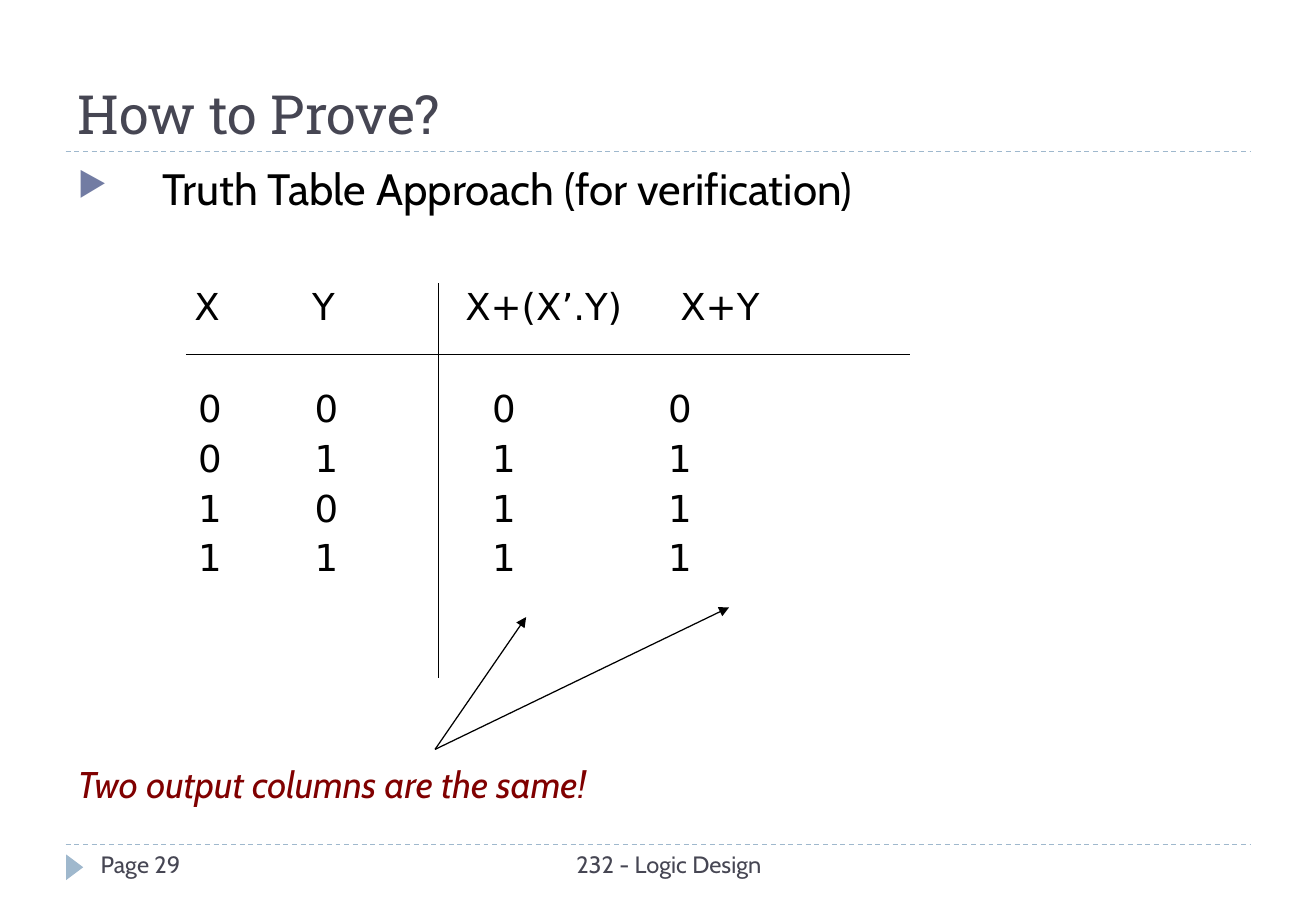
from pptx import Presentation
from pptx.dml.color import RGBColor
from pptx.enum.dml import MSO_LINE
from pptx.enum.shapes import MSO_CONNECTOR, MSO_SHAPE
from pptx.enum.text import MSO_ANCHOR, PP_ALIGN
from pptx.oxml import parse_xml
from pptx.oxml.ns import nsdecls
from pptx.util import Inches, Pt
from lxml.etree import SubElement

# Content
TITLE = "How to Prove?"
POINT = "Truth Table Approach (for verification)"
NOTE = "Two output columns are the same!"
PAGE, COURSE = "Page 29", "232 - Logic Design"
HEAD = ["X", "Y", "X+(X’.Y)", "X+Y"]
ROWS = ["0000", "0111", "1011", "1111"]

# Layout in inches
WIDE, HIGH = 10.83, 7.5
LEFT, SPAN = 0.54, 9.75
RULES = [1.25, 6.95]
COLS = [1.53, 2.5, 3.61, 5.4, 7.49]
HEAD_PAD = [0.07, 0.07, 0.22, 0.2]
BODY_PAD = [0.1, 0.09, 0.44, 0.1]
TOP, MID, END = 2.15, 2.92, 5.58
HEIGHTS = [MID - TOP, 0.66, 0.41, 0.41, 0.41]
TAIL, TIPS = (3.58, 6.17), [(4.33, 5.08), (6, 5)]
INK, SLATE, PALE, RED = "000000", "464653", "9FB8CD", "800000"


def color(code):
    return RGBColor.from_string(code)


def style(para, size, face, code, italic=False):
    font = para.font
    font.size, font.name, font.italic = Pt(size), face, italic
    font.color.rgb = color(code)


def label(text, box, size, code, italic=False, align=PP_ALIGN.LEFT):
    frame = slide.shapes.add_textbox(*map(Inches, box)).text_frame
    frame.word_wrap = True
    para = frame.paragraphs[0]
    para.text, para.alignment = text, align
    style(para, size, "Cabin", code, italic)
    return para


def line(start, end, code=INK, dash=False, arrow=False):
    link = slide.shapes.add_connector(
        MSO_CONNECTOR.STRAIGHT, *map(Inches, (*start, *end)))
    link.line.width = Pt(0.75)
    link.line.color.rgb = color(code)
    if dash:
        link.line.dash_style = MSO_LINE.DASH
    props = link.line._get_or_add_ln()
    if arrow:
        props.append(parse_xml(f'<a:tailEnd {nsdecls("a")} type="triangle"/>'))
    props.getparent().append(parse_xml(f'<a:effectLst {nsdecls("a")}/>'))


deck = Presentation()
deck.slide_width, deck.slide_height = Inches(WIDE), Inches(HIGH)
slide = deck.slides.add_slide(deck.slide_layouts[5])

# Title
title = slide.shapes.title
title.left, title.top = Inches(LEFT), Inches(0.17)
title.width, title.height = Inches(SPAN), Inches(1.08)
title.text_frame.text = TITLE
title.text_frame.vertical_anchor = MSO_ANCHOR.BOTTOM
para = title.text_frame.paragraphs[0]
para.alignment = PP_ALIGN.LEFT
style(para, 32, "Roboto Slab", SLATE)

# Dashed rules and footer
for y in RULES:
    line((LEFT, y), (LEFT + SPAN, y), PALE, dash=True)
mark = slide.shapes.add_shape(
    MSO_SHAPE.ISOSCELES_TRIANGLE, *map(Inches, (0.51, 7.07, 0.21, 0.14)))
mark.rotation = 90
mark.shadow.inherit = False
mark.fill.solid()
mark.fill.fore_color.rgb = color(PALE)
mark.line.fill.background()
label(PAGE, (0.73, 6.95, 2.35, 0.4), 14, SLATE)
label(COURSE, (3.43, 6.95, 4.15, 0.4), 14, SLATE, align=PP_ALIGN.CENTER)

# Bulleted point
para = label(POINT, (LEFT, 1.33, SPAN, 0.6), 26, INK)
para.line_spacing, para.space_before = 0.9, Pt(6)
props = para._p.get_or_add_pPr()
props.set("marL", str(Inches(0.7)))
props.set("indent", str(-Inches(0.7)))
bullet = parse_xml(
    f'<a:pPr {nsdecls("a")}><a:buClr><a:srgbClr val="727CA3"/></a:buClr>'
    '<a:buSzPct val="76000"/><a:buChar char="▶"/></a:pPr>')
at = props.index(props.find("{*}defRPr"))
props[at:at] = list(bullet)

# Truth table
table = slide.shapes.add_table(
    len(HEIGHTS), len(HEAD), Inches(COLS[0]), Inches(TOP),
    Inches(COLS[-1] - COLS[0]), Inches(sum(HEIGHTS))).table
table.first_row = table.horz_banding = False
for col, a, b in zip(table.columns, COLS, COLS[1:]):
    col.width = Inches(b - a)
for r, (high, texts) in enumerate(zip(HEIGHTS, [HEAD, *ROWS])):
    table.rows[r].height = Inches(high)
    for c, text in enumerate(texts):
        cell = table.cell(r, c)
        cell.fill.background()
        cell.margin_left = Inches((BODY_PAD if r else HEAD_PAD)[c])
        cell.margin_right = cell.margin_top = 0
        cell.margin_bottom = Inches(0.03 if r else 0)
        cell.vertical_anchor = MSO_ANCHOR.BOTTOM if r else MSO_ANCHOR.MIDDLE
        cell.text = text
        style(cell.text_frame.paragraphs[0], 22, "DejaVu Sans", INK)
line((COLS[0], MID), (COLS[-1], MID))
line((COLS[2], 2.33), (COLS[2], END))

# Conclusion with arrows to the output columns
for tip in TIPS:
    line(TAIL, tip, arrow=True)
label(NOTE, (LEFT, 6.22, SPAN, 0.5), 22, RED, italic=True)

deck.save("out.pptx")
